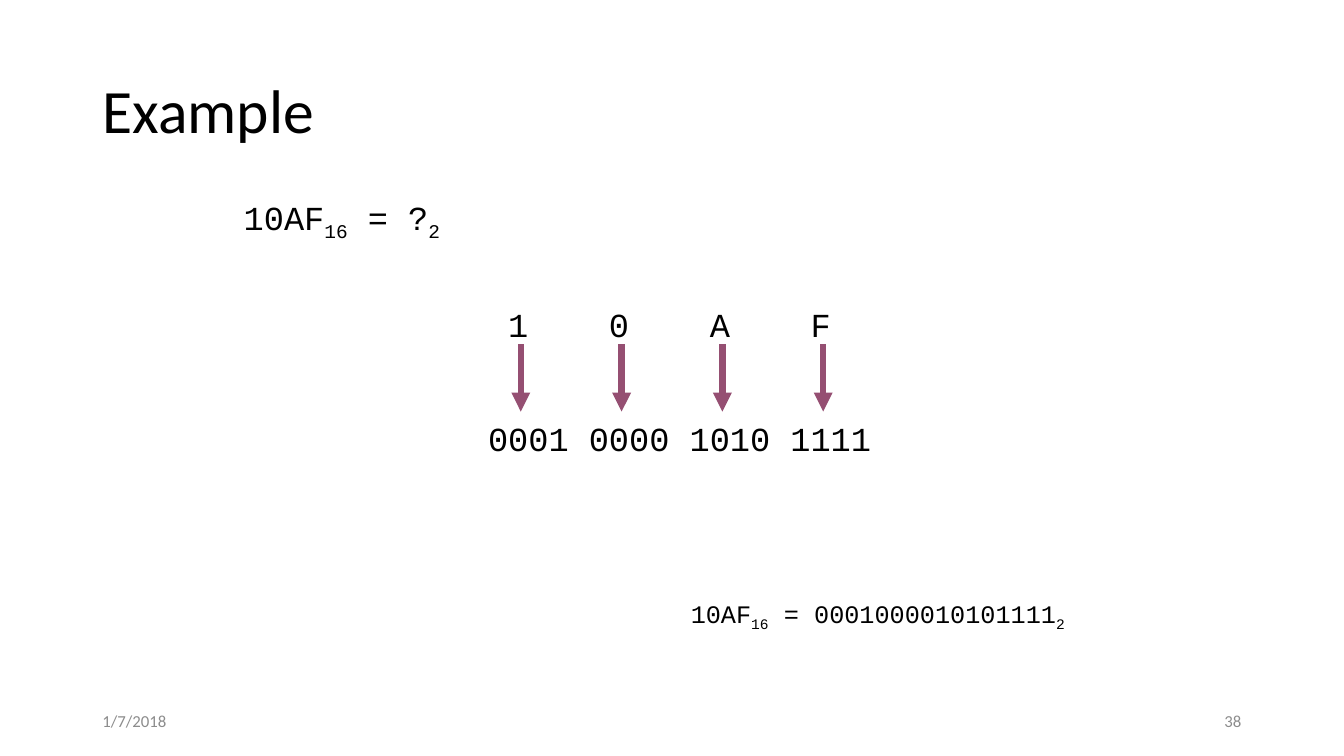
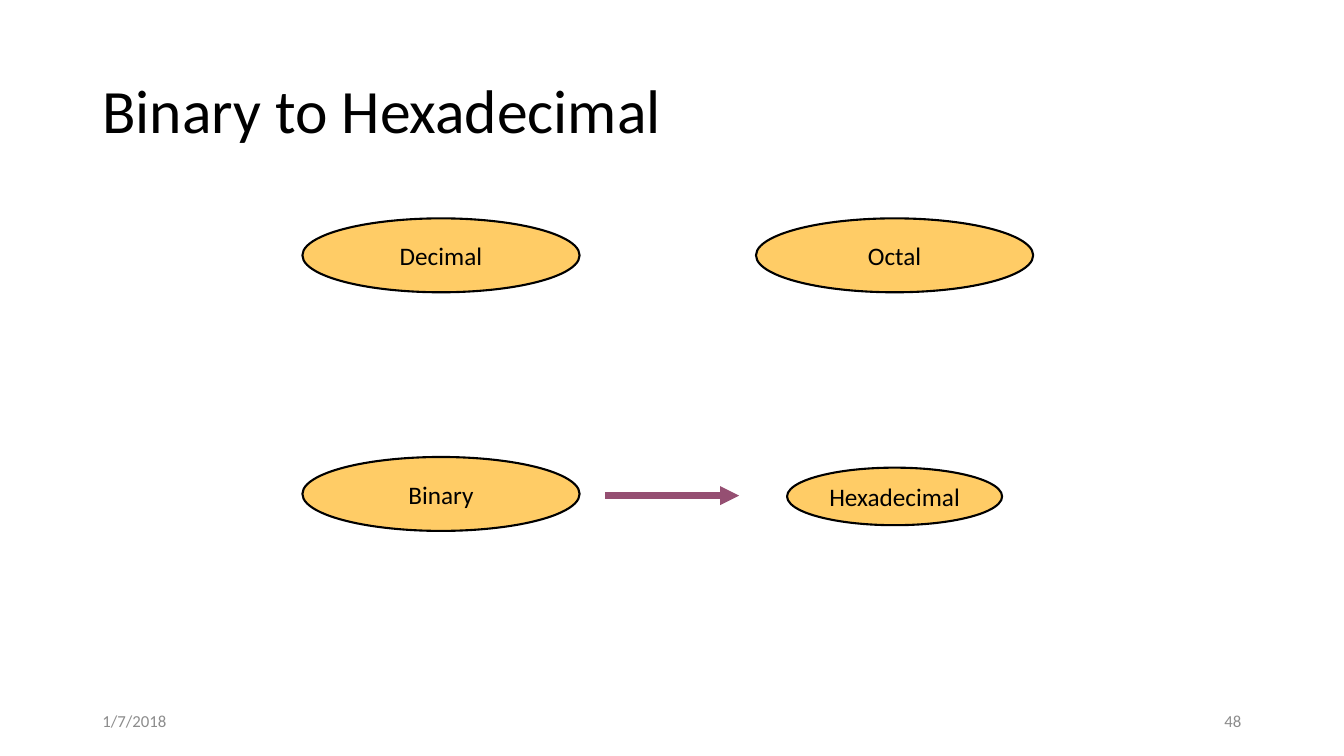
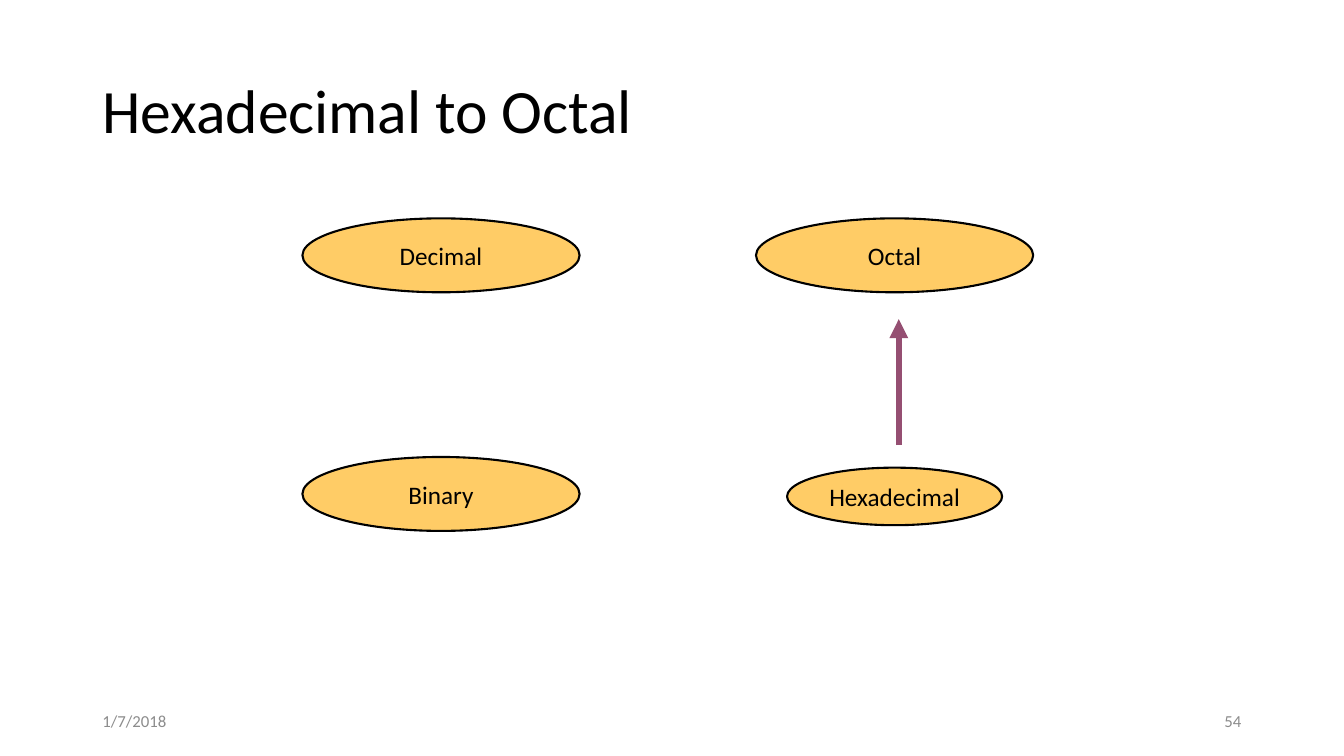
"""Build three slides on converting between number bases."""
from lxml import etree
from pptx import Presentation
from pptx.dml.color import RGBColor
from pptx.enum.shapes import MSO_CONNECTOR, MSO_SHAPE
from pptx.enum.text import MSO_ANCHOR, PP_ALIGN
from pptx.oxml.ns import qn
from pptx.util import Inches, Pt

COLS, ROWS = 160, 90
CELL = Inches(1) / 12
BLACK = RGBColor(0x00, 0x00, 0x00)
GREY = RGBColor(0x8C, 0x8C, 0x8C)
GOLD = RGBColor(0xFF, 0xCC, 0x66)
PLUM = RGBColor(0x95, 0x4F, 0x72)
SANS, MONO = "Calibri", "Courier New"
LEFT, MID, RIGHT = PP_ALIGN.LEFT, PP_ALIGN.CENTER, PP_ALIGN.RIGHT
TOP, CENTRE = MSO_ANCHOR.TOP, MSO_ANCHOR.MIDDLE
OVAL, LINE = MSO_SHAPE.OVAL, MSO_CONNECTOR.STRAIGHT
DATE = "1/7/2018"
EDGE = 12.2
STEP = 12


def grid(*cells):
    """Turn grid cells into slide lengths."""
    return [round(cell * CELL) for cell in cells]


def style(para, size, face=SANS, ink=BLACK, align=LEFT):
    """Set the font and alignment of a paragraph."""
    para.alignment = align
    para.font.size = Pt(size)
    para.font.name = face
    para.font.color.rgb = ink


def label(slide, box, text, size, face=SANS, ink=BLACK, align=LEFT, anchor=CENTRE):
    """Add a text box without insets and return its paragraph."""
    frame = slide.shapes.add_textbox(*grid(*box)).text_frame
    frame.word_wrap = True
    frame.vertical_anchor = anchor
    frame.margin_left = frame.margin_right = 0
    frame.margin_top = frame.margin_bottom = 0
    para = frame.paragraphs[0]
    if text:
        para.add_run().text = text
    style(para, size, face, ink, align)
    return para


def mono(slide, box, text, size=24):
    """Add centred monospaced text."""
    return label(slide, box, text, size, MONO, align=MID, anchor=TOP)


def sums(slide, box, size, pairs):
    """Add an equation of numbers, each followed by its base."""
    para = mono(slide, box, "", size)
    for text, base in pairs:
        para.add_run().text = text
        sub = para.add_run()
        sub.text = base
        sub.font._element.set("baseline", "-25000")


def arrow(slide, start, end):
    """Add a thick arrow from start to end."""
    line = slide.shapes.add_connector(LINE, *grid(*start, *end))
    line.line.color.rgb = PLUM
    line.line.width = Pt(4.5)
    etree.SubElement(line.line._get_or_add_ln(), qn("a:tailEnd"), type="triangle")
    etree.SubElement(line._element.spPr, qn("a:effectLst"))


def oval(slide, text, mid, size=(33, 8.8)):
    """Add a named ellipse around a middle point."""
    (x, y), (wide, high) = mid, size
    shape = slide.shapes.add_shape(OVAL, *grid(x - wide / 2, y - high / 2, wide, high))
    shape.shadow.inherit = False
    shape.fill.solid()
    shape.fill.fore_color.rgb = GOLD
    shape.line.color.rgb = BLACK
    shape.line.width = Pt(1.5)
    frame = shape.text_frame
    frame.word_wrap = False
    frame.vertical_anchor = CENTRE
    frame.text = text
    style(frame.paragraphs[0], 18, align=MID)


def page(deck, title, number):
    """Add a slide with its title, date and number."""
    slide = deck.slides.add_slide(deck.slide_layouts[6])
    head = label(slide, (EDGE, 4.8, COLS - 2 * EDGE, 17.4), title, 44)
    head.line_spacing = 0.9
    wide = 33.6
    label(slide, (EDGE, 83.4, wide, 4.8), DATE, 12, ink=GREY)
    label(slide, (COLS - EDGE - wide, 83.4, wide, 4.8), number, 12, ink=GREY, align=RIGHT)
    return slide


def digits(deck):
    """Build the worked example, one column for each digit."""
    slide = page(deck, "Example", "38")
    sums(slide, (27.2, 23.4, 27, 4.8), 24, [("10AF", "16"), (" = ?", "2")])
    pairs = [("1", "0001"), ("0", "0000"), ("A", "1010"), ("F", "1111")]
    for col, (digit, bits) in enumerate(pairs):
        x = 62 + col * STEP
        mono(slide, (x - 6.3, 36.2, STEP, 4.6), digit)
        mono(slide, (x - 5.1, 49.8, STEP, 4.6), bits)
        arrow(slide, (x, 41), (x, 49))
    sums(slide, (73, 71.2, 63, 3.6), 18, [("10AF", "16"), (" = 0001000010101111", "2")])


def bases(deck, title, number, start, end):
    """Build a map of the four bases with one arrow."""
    slide = page(deck, title, number)
    oval(slide, "Decimal", (52.5, 30.4))
    oval(slide, "Octal", (106.5, 30.4))
    oval(slide, "Binary", (52.5, 58.8))
    oval(slide, "Hexadecimal", (106.5, 59.1), (25.6, 6.85))
    arrow(slide, start, end)


def main():
    """Build and save the deck."""
    deck = Presentation()
    deck.slide_width, deck.slide_height = grid(COLS, ROWS)
    digits(deck)
    bases(deck, "Binary to Hexadecimal", "48", (72, 59), (88, 59))
    bases(deck, "Hexadecimal to Octal", "54", (107, 53), (107, 38))
    deck.save("out.pptx")


if __name__ == "__main__":
    main()
